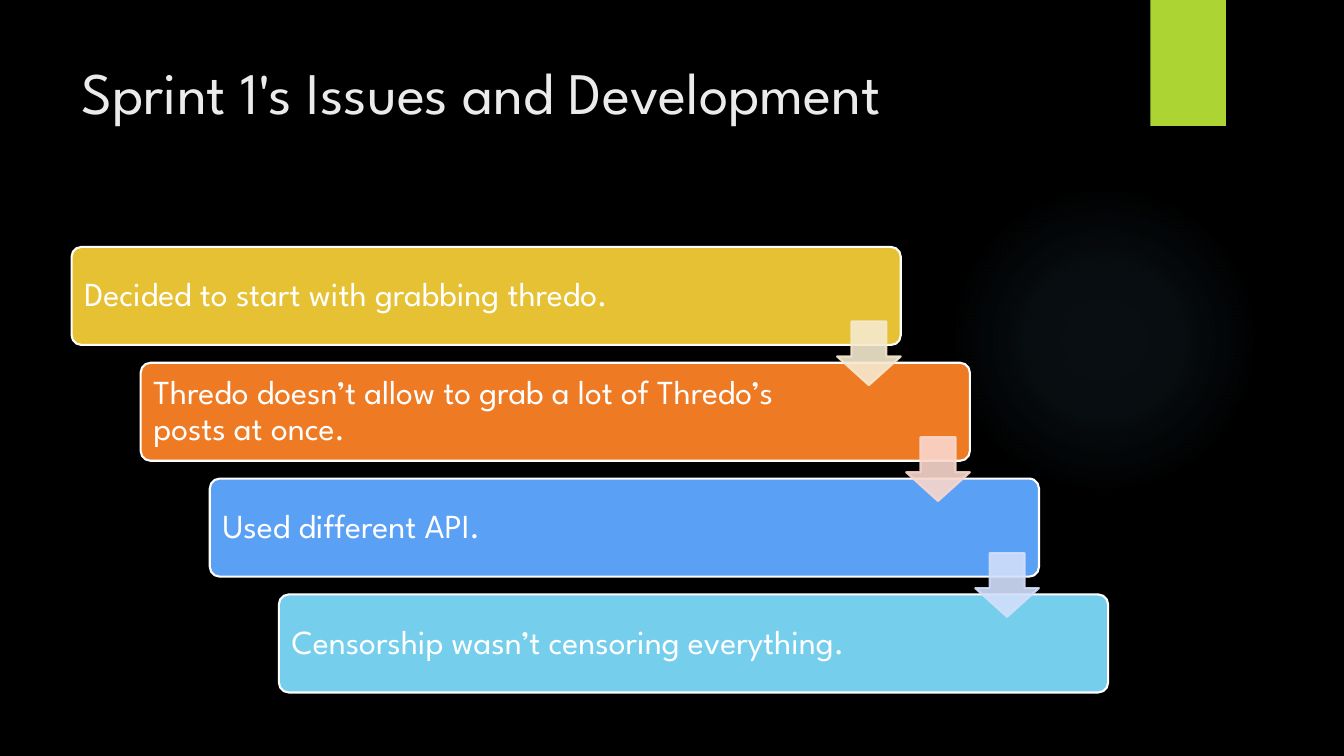
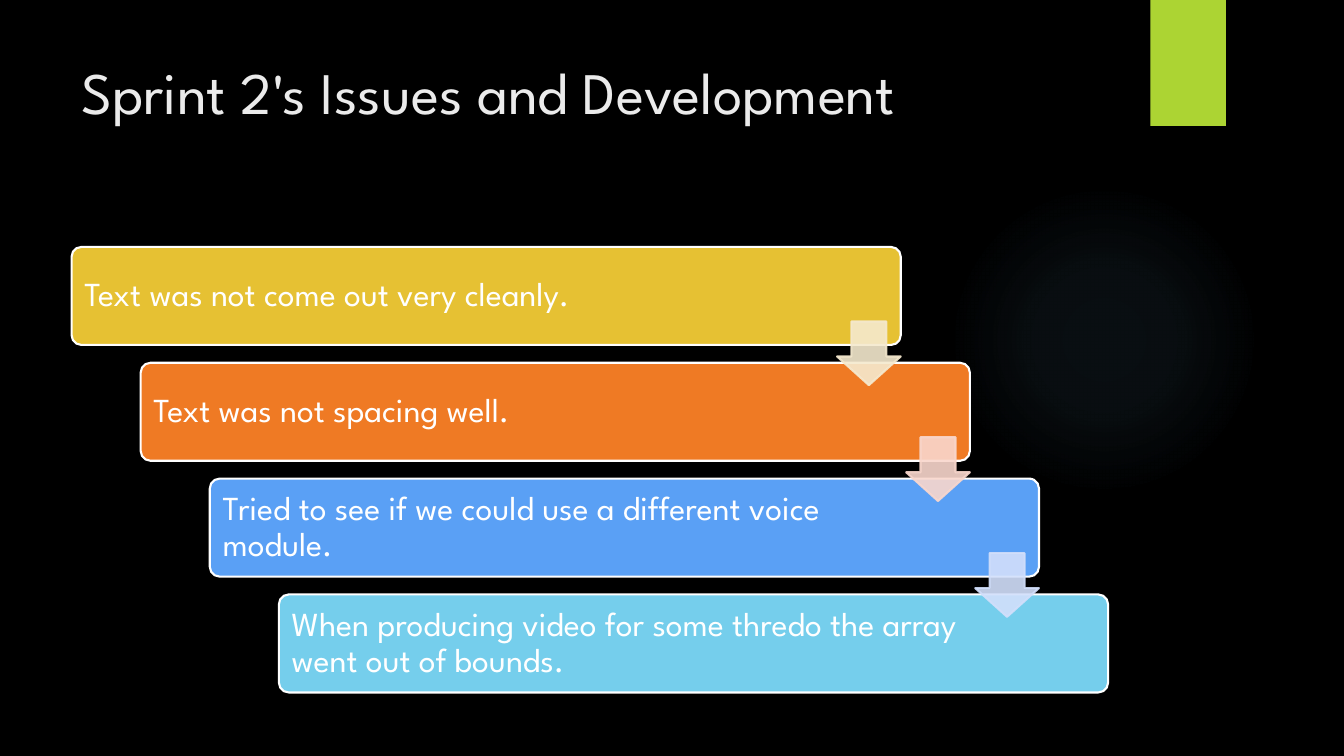
from collections import namedtuple

from pptx import Presentation
from pptx.dml.color import RGBColor
from pptx.enum.shapes import MSO_SHAPE
from pptx.enum.text import MSO_ANCHOR, PP_ALIGN
from pptx.oxml import parse_xml
from pptx.oxml.ns import nsdecls, qn
from pptx.oxml.xmlchemy import OxmlElement
from pptx.util import Inches, Pt

Box = namedtuple("Box", "left top width height")

FONT = "League Spartan"
BLACK = RGBColor(0x00, 0x00, 0x00)
WHITE = RGBColor(0xFF, 0xFF, 0xFF)
TITLE_GREY = RGBColor(0xEB, 0xEB, 0xEB)
LIME = RGBColor(0xAC, 0xD4, 0x33)
GLOW_BLUE = RGBColor(0x7A, 0xC4, 0xF0)
GLOW_STOPS = [(0, 7), (36, 6), (69, 0)]
BAR_COLOURS = [
    RGBColor(0xE6, 0xC1, 0x33),
    RGBColor(0xEF, 0x7A, 0x24),
    RGBColor(0x5A, 0xA0, 0xF5),
    RGBColor(0x75, 0xCE, 0xEC),
]
ARROW_COLOURS = [
    RGBColor(0xF5, 0xE9, 0xCE),
    RGBColor(0xF9, 0xD7, 0xCD),
    RGBColor(0xD2, 0xDF, 0xFB),
]

GLOW_BOX = Box(9.41, 1.83, 3.08, 3.08)
TAB_BOX = Box(11.41, 0, 0.75, 1.25)
TITLE_BOX = Box(0.71, 0.5, 10.29, 1.53)
STAIRCASE_BOX = Box(0.71, 2.45, 10.28, 4.42)

SPRINTS = [
    ("Sprint 1's Issues and Development", [
        "Decided to start with grabbing thredo.",
        "Thredo doesn’t allow to grab a lot of Thredo’s posts at once.",
        "Used different API.",
        "Censorship wasn’t censoring everything.",
    ]),
    ("Sprint 2's Issues and Development", [
        "Text was not come out very cleanly.",
        "Text was not spacing well.",
        "Tried to see if we could use a different voice module.",
        "When producing video for some thredo the array went out of bounds.",
    ]),
]


def add_filled_shape(slide, kind, box, fill, line=None):
    """Add a flat preset shape with an optional outline."""
    shape = slide.shapes.add_shape(kind, *map(Inches, box))
    shape.shadow.inherit = False
    shape.fill.solid()
    shape.fill.fore_color.rgb = fill
    if line is None:
        shape.line.fill.background()
    else:
        shape.line.color.rgb = line
        shape.line.width = Pt(1.5)
    return shape


def write_text(text_frame, text, size, colour):
    """Write one left-aligned run and return its paragraph."""
    text_frame.word_wrap = True
    paragraph = text_frame.paragraphs[0]
    paragraph.alignment = PP_ALIGN.LEFT
    run = paragraph.add_run()
    run.text = text
    run.font.name = FONT
    run.font.size = Pt(size)
    run.font.color.rgb = colour
    return paragraph


def add_backdrop(slide):
    """Add the black background, the faint glow and the lime tab."""
    slide.background.fill.solid()
    slide.background.fill.fore_color.rgb = BLACK
    glow = add_filled_shape(slide, MSO_SHAPE.OVAL, GLOW_BOX, GLOW_BLUE)
    stops = "".join(
        f'<a:gs pos="{position * 1000}"><a:srgbClr val="{GLOW_BLUE}">'
        f'<a:alpha val="{opacity * 1000}"/></a:srgbClr></a:gs>'
        for position, opacity in GLOW_STOPS
    )
    gradient = parse_xml(
        f'<a:gradFill {nsdecls("a")} rotWithShape="1"><a:gsLst>{stops}</a:gsLst>'
        '<a:path path="circle"><a:fillToRect l="50000" t="50000" r="50000" b="50000"/>'
        "</a:path></a:gradFill>"
    )
    properties = glow.element.spPr
    properties.replace(properties.find(qn("a:solidFill")), gradient)
    add_filled_shape(slide, MSO_SHAPE.RECTANGLE, TAB_BOX, LIME)


def add_title(slide, box, text):
    """Add the slide title at the top of its box."""
    text_box = slide.shapes.add_textbox(*map(Inches, box))
    text_box.text_frame.vertical_anchor = MSO_ANCHOR.TOP
    write_text(text_box.text_frame, text, 42, TITLE_GREY)


def add_bar(slide, box, text, colour):
    """Add one step, its text kept clear of the arrow on the right."""
    bar = add_filled_shape(slide, MSO_SHAPE.ROUNDED_RECTANGLE, box, colour, WHITE)
    bar.adjustments[0] = 0.1
    text_frame = bar.text_frame
    text_frame.vertical_anchor = MSO_ANCHOR.MIDDLE
    text_frame.margin_left = Inches(0.1)
    text_frame.margin_right = Inches(1.42)
    write_text(text_frame, text, 24, WHITE).line_spacing = 0.9


def add_step_arrow(slide, bar_box, colour):
    """Add a translucent arrow from the lower right of a bar to the next one."""
    side = bar_box.height * 0.65
    box = Box(bar_box.left + bar_box.width - side,
              bar_box.top + bar_box.height * 0.76, side, side)
    arrow = add_filled_shape(slide, MSO_SHAPE.DOWN_ARROW, box, colour, colour)
    arrow.adjustments[0] = 0.55
    arrow.adjustments[1] = 0.45
    for colour_element in arrow.element.spPr.iter(qn("a:srgbClr")):
        alpha = OxmlElement("a:alpha")
        alpha.set("val", "90000")
        colour_element.append(alpha)


def add_staircase(slide, box, steps):
    """Spread the steps diagonally over the box and link them with arrows."""
    width, height = box.width * 0.8, box.height * 0.22
    gaps = len(steps) - 1
    bar_boxes = [
        Box(box.left + index * (box.width - width) / gaps,
            box.top + index * (box.height - height) / gaps, width, height)
        for index in range(len(steps))
    ]
    for bar_box, text, colour in zip(bar_boxes, steps, BAR_COLOURS):
        add_bar(slide, bar_box, text, colour)
    for bar_box, colour in zip(bar_boxes[:-1], ARROW_COLOURS):
        add_step_arrow(slide, bar_box, colour)


def add_sprint_slide(presentation, title, steps):
    """Add a slide with a title and a staircase of steps."""
    slide = presentation.slides.add_slide(presentation.slide_layouts[6])
    add_backdrop(slide)
    add_title(slide, TITLE_BOX, title)
    add_staircase(slide, STAIRCASE_BOX, steps)


def main():
    """Build and save the presentation."""
    presentation = Presentation()
    presentation.slide_width = Inches(13.33)
    presentation.slide_height = Inches(7.5)
    for title, steps in SPRINTS:
        add_sprint_slide(presentation, title, steps)
    presentation.save("out.pptx")


if __name__ == "__main__":
    main()
